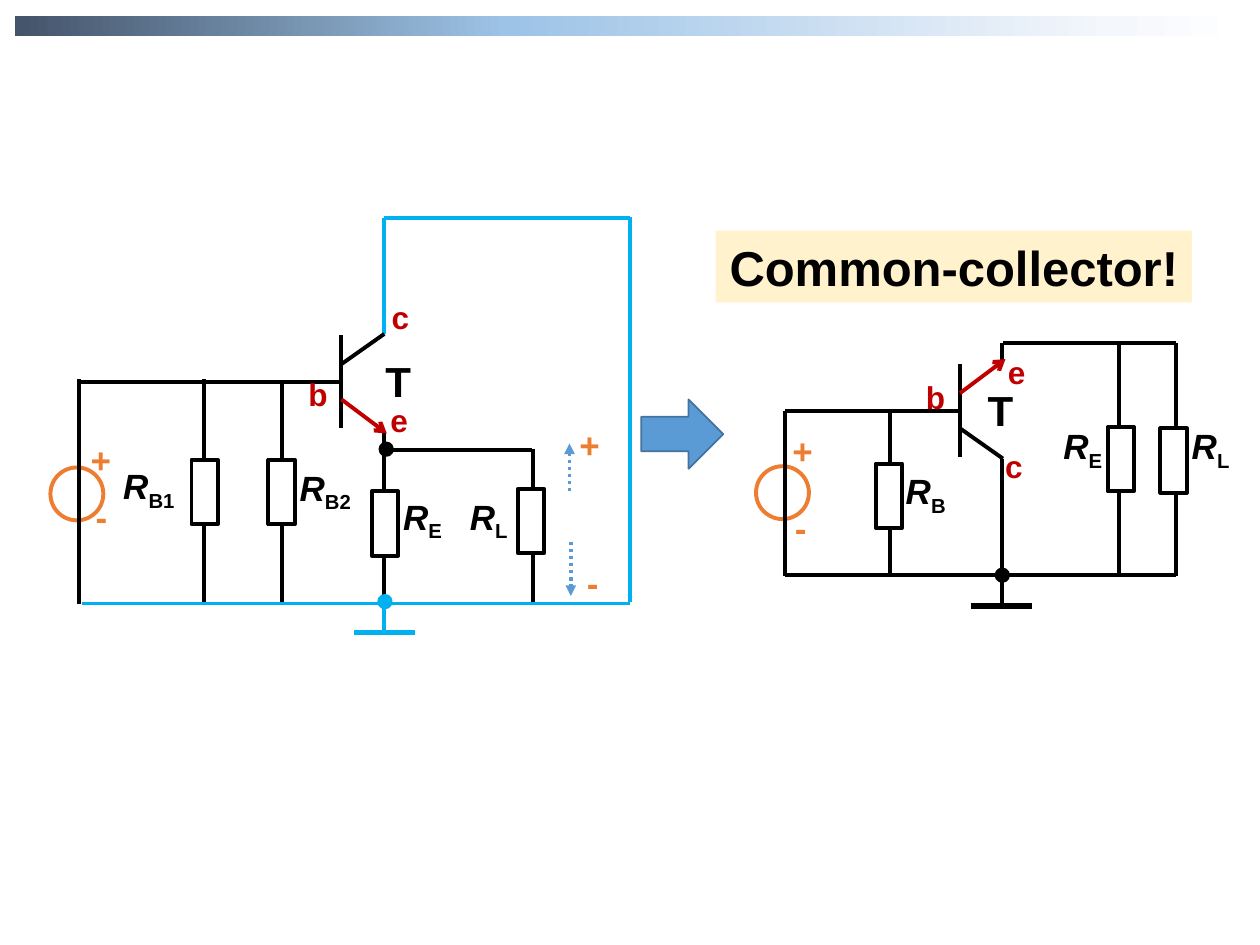
from dataclasses import dataclass

from lxml import etree
from pptx import Presentation
from pptx.dml.color import RGBColor
from pptx.enum.dml import MSO_LINE
from pptx.enum.shapes import MSO_CONNECTOR, MSO_SHAPE
from pptx.enum.text import MSO_ANCHOR, MSO_AUTO_SIZE, PP_ALIGN
from pptx.oxml import parse_xml
from pptx.oxml.ns import nsdecls, qn
from pptx.util import Pt

RECTANGLE, OVAL, RIGHT_ARROW = MSO_SHAPE.RECTANGLE, MSO_SHAPE.OVAL, MSO_SHAPE.RIGHT_ARROW
STRAIGHT, DOTTED = MSO_CONNECTOR.STRAIGHT, MSO_LINE.ROUND_DOT
CENTER, MIDDLE = PP_ALIGN.CENTER, MSO_ANCHOR.MIDDLE
GROW = MSO_AUTO_SIZE.SHAPE_TO_FIT_TEXT
PX = 9144


@dataclass(frozen=True)
class Theme:
    """Colours, type sizes and line widths of the slide."""

    font: str = "Arial"
    black: str = "000000"
    white: str = "FFFFFF"
    common: str = "00B0F0"
    terminal: str = "C00000"
    source: str = "ED7D31"
    blue: str = "5B9BD5"
    blue_edge: str = "43739E"
    banner: str = "FFF2CC"
    header: tuple = ((0, "44546A"), (40, "9DC3E6"), (89, "F4F7FC"), (100, "FFFFFF"))
    banner_size: int = 28
    name_size: int = 24
    value_size: int = 20
    terminal_size: int = 18
    thin: float = 1
    dotted: float = 2
    wire: float = 2.25
    ground: float = 3


THEME = Theme()


@dataclass
class Region:
    """A set of shapes placed relative to a left and top in px."""

    shapes: object
    left: int
    top: int

    def place(self, x, y):
        """Turn region px into slide EMU."""
        return (self.left + x) * PX, (self.top + y) * PX

    def wire(self, x1, y1, x2, y2, color=THEME.black, width=THEME.wire, head=None, dash=None):
        """Draw a straight line, with an optional arrowhead at its end."""
        line = self.shapes.add_connector(STRAIGHT, *self.place(x1, y1), *self.place(x2, y2))
        line.line.color.rgb = RGBColor.from_string(color)
        line.line.width = Pt(width)
        if dash:
            line.line.dash_style = dash
        properties = line._element.spPr
        if head:
            etree.SubElement(properties.find(qn("a:ln")), qn("a:tailEnd"), type=head)
        etree.SubElement(properties, qn("a:effectLst"))

    def figure(self, kind, x, y, width, height, fill=None, edge=None, weight=THEME.wire):
        """Draw a preset shape with the given fill and edge."""
        shape = self.shapes.add_shape(kind, *self.place(x, y), width * PX, height * PX)
        shape.shadow.inherit = False
        if fill:
            shape.fill.solid()
            shape.fill.fore_color.rgb = RGBColor.from_string(fill)
        else:
            shape.fill.background()
        if edge:
            shape.line.color.rgb = RGBColor.from_string(edge)
            shape.line.width = Pt(weight)
        else:
            shape.line.fill.background()
        return shape

    def label(self, text, x, y, width, height, size, color=THEME.black):
        """Write one bold label."""
        box = self.shapes.add_textbox(*self.place(x, y), width * PX, height * PX)
        box.text_frame.word_wrap = True
        box.text_frame.auto_size = GROW
        box.text_frame.text = text
        para = box.text_frame.paragraphs[0]
        style(para.runs[0], size, color)
        return para

    def terminal(self, text, x, y):
        """Name one transistor terminal."""
        self.label(text, x, y, 47, 40, THEME.terminal_size, THEME.terminal)

    def polarity(self, sign, x, y):
        """Write a plus or minus sign."""
        self.label(sign, x, y, 41, 44, THEME.value_size, THEME.source)

    def resistor(self, subscript, body, text):
        """Draw a resistor body and its subscripted name."""
        self.figure(RECTANGLE, *body, 21, 51, THEME.white, THEME.black)
        width = 76 if subscript.startswith("B") else 61
        para = self.label("R", *text, width, 52, THEME.value_size)
        para.runs[0].font.italic = True
        span = para.add_run()
        span.text = subscript
        style(span, THEME.value_size, THEME.black)
        span._r.get_or_add_rPr().set("baseline", "-25000")

    def node(self, x, y, color=THEME.black):
        """Draw a junction dot."""
        self.figure(OVAL, x, y, 9, 9, color, color)

    def transistor(self, x, top, emitter_up):
        """Draw the bar, collector and emitter, mirrored if the emitter is up."""
        height = 74

        def level(y):
            return top + (height - y if emitter_up else y)

        self.wire(x, top, x, top + height)
        self.wire(x, level(23), x + 34, level(-1))
        self.wire(x, level(51), x + 36, level(78), THEME.terminal, head="arrow")


def style(span, size, color):
    """Format one bold run."""
    span.font.name = THEME.font
    span.font.size = Pt(size)
    span.font.bold = True
    span.font.color.rgb = RGBColor.from_string(color)


def build_header(page, left, top):
    """Draw the gradient band."""
    band = Region(page.shapes, left, top).figure(RECTANGLE, 0, 0, 976, 16, THEME.white)
    stops = "".join(
        f'<a:gs pos="{position * 1000}"><a:srgbClr val="{color}"/></a:gs>'
        for position, color in THEME.header
    )
    gradient = parse_xml(
        f'<a:gradFill {nsdecls("a")}><a:gsLst>{stops}</a:gsLst><a:lin ang="0" scaled="0"/></a:gradFill>'
    )
    properties = band._element.spPr
    properties.replace(properties.find(qn("a:solidFill")), gradient)


def build_amplifier(page, left, top):
    """Draw the full circuit with its collector tied to ground."""
    region = Region(page.shapes.add_group_shape().shapes, left, top)
    region.figure(OVAL, 0, 199, 42, 42, edge=THEME.source)
    for ends in (
        (231, 131, 22, 131), (265, 170, 265, 310), (122, 307, 122, 129), (382, 185, 265, 185),
        (383, 184, 383, 307), (23, 129, 23, 307), (184, 306, 184, 131),
    ):
        region.wire(*ends)
    for ends in (
        (265, 301, 265, 331), (265, 93, 265, 1), (460, 307, 25, 307),
        (460, 1, 265, 1), (460, 306, 460, 0),
    ):
        region.wire(*ends, THEME.common)
    region.wire(241, 330, 289, 330, THEME.common, THEME.ground)
    for ends in ((413, 258, 413, 301), (412, 218, 412, 180)):
        region.wire(*ends, THEME.blue, THEME.dotted, "triangle", DOTTED)
    region.transistor(231, 94, emitter_up=False)
    region.resistor("B1", (112, 193), (48, 192))
    region.resistor("B2", (173, 193), (188, 193))
    region.resistor("E", (255, 218), (270, 216))
    region.resistor("L", (371, 216), (323, 216))
    region.node(262, 180)
    region.node(261, 301, THEME.common)
    region.label("T", 256, 105, 53, 50, THEME.name_size)
    for text, x, y in (("b", 195, 121), ("e", 260, 141), ("c", 261, 60)):
        region.terminal(text, x, y)
    for sign, x, y in (("+", 22, 171), ("-", 26, 216), ("+", 410, 159), ("-", 416, 269)):
        region.polarity(sign, x, y)


def build_equivalent(page, left, top):
    """Draw the rearranged circuit with the collector as common node."""
    region = Region(page.shapes.add_group_shape().shapes, left, top)
    region.figure(OVAL, 0, 98, 42, 42, edge=THEME.source)
    for ends in (
        (333, 185, 333, 0), (162, 54, 23, 54), (195, 92, 195, 184), (333, 0, 196, 0),
        (333, 184, 23, 184), (288, 185, 288, 0), (23, 185, 23, 54), (106, 54, 106, 185),
        (195, 15, 195, 0), (195, 189, 195, 209),
    ):
        region.wire(*ends)
    region.wire(171, 209, 219, 209, width=THEME.ground)
    region.transistor(162, 17, emitter_up=True)
    region.resistor("B", (95, 96), (109, 96))
    region.resistor("E", (279, 67), (234, 60))
    region.resistor("L", (321, 68), (336, 60))
    region.node(191, 180)
    region.label("T", 174, 28, 53, 50, THEME.name_size)
    for text, x, y in (("b", 125, 23), ("e", 190, 3), ("c", 188, 78)):
        region.terminal(text, x, y)
    for sign, x, y in (("+", 19, 64), ("-", 21, 125)):
        region.polarity(sign, x, y)


def build_banner(page, left, top):
    """Write the conclusion on its coloured band."""
    banner = Region(page.shapes, left, top).figure(RECTANGLE, 0, 0, 378, 57, THEME.banner)
    frame = banner.text_frame
    frame.word_wrap = True
    frame.auto_size = GROW
    frame.vertical_anchor = MIDDLE
    frame.text = "Common-collector!"
    frame.paragraphs[0].alignment = CENTER
    style(frame.paragraphs[0].runs[0], THEME.banner_size, THEME.black)


def main():
    """Build and save the slide."""
    deck = Presentation()
    deck.slide_width, deck.slide_height = 1000 * PX, 750 * PX
    page = deck.slides.add_slide(deck.slide_layouts[6])
    build_header(page, 12, 13)
    build_amplifier(page, 40, 172)
    build_equivalent(page, 600, 272)
    Region(page.shapes, 509, 317).figure(
        RIGHT_ARROW, 0, 0, 65, 55, THEME.blue, THEME.blue_edge, THEME.thin
    )
    build_banner(page, 568, 183)
    deck.save("out.pptx")


if __name__ == "__main__":
    main()
